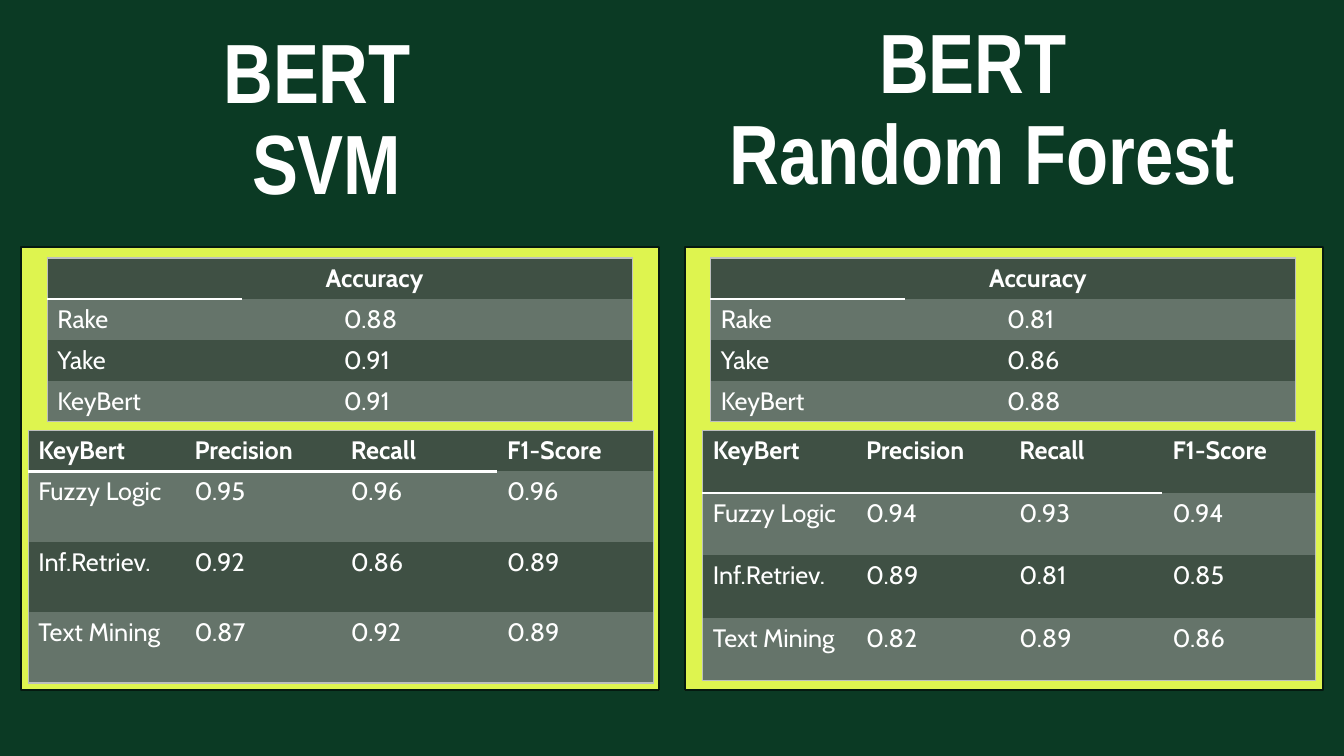
from lxml import etree
from pptx import Presentation
from pptx.dml.color import RGBColor
from pptx.enum.shapes import MSO_SHAPE
from pptx.enum.text import MSO_ANCHOR, MSO_AUTO_SIZE, PP_ALIGN
from pptx.oxml.ns import qn
from pptx.util import Inches, Pt

RECT = MSO_SHAPE.RECTANGLE
TOP, CENTER, FIXED = MSO_ANCHOR.TOP, PP_ALIGN.CENTER, MSO_AUTO_SIZE.NONE

GREEN, LIME, INK, WHITE = "0B3A24", "DEF44F", "051910", "FFFFFF"
DARK, LIGHT, GRAY = "3F5044", "65746A", "BDBFBE"
HEAD = ["KeyBert", "Precision", "Recall", "F1-Score"]

# Boxes are left, top, width, height in inches.
SIDES = [
    {
        "title": "BERT \vSVM", "title_box": (1.44, 0.31, 3.6, 1.37),
        "panel": 0.21,
        "accuracy": [["", "Accuracy"], ["Rake", "0.88"],
                     ["Yake", "0.91"], ["KeyBert", "0.91"]],
        "scores": [HEAD, ["Fuzzy Logic", "0.95", "0.96", "0.96"],
                   ["Inf.Retriev.", "0.92", "0.86", "0.89"],
                   ["Text Mining", "0.87", "0.92", "0.89"]],
        "score_left": 0.28, "score_col": 1.55, "score_rows": [0.4] + [0.7] * 3,
    },
    {
        "title": "BERT \vRandom Forest", "title_box": (6.41, 0.21, 6.67, 2.08),
        "panel": 6.79,
        "accuracy": [["", "Accuracy"], ["Rake", "0.81"],
                     ["Yake", "0.86"], ["KeyBert", "0.88"]],
        "scores": [HEAD, ["Fuzzy Logic", "0.94", "0.93", "0.94"],
                   ["Inf.Retriev.", "0.89", "0.81", "0.85"],
                   ["Text Mining", "0.82", "0.89", "0.86"]],
        "score_left": 6.97, "score_col": 1.52, "score_rows": [0.62] + [0.62] * 3,
    },
]


def color(code):
    return RGBColor.from_string(code)


def place(shape, box):
    shape.left, shape.top, shape.width, shape.height = map(Inches, box)


def style(para, face, size, bold):
    for run in para.runs:
        font = run.font
        font.name, font.size, font.bold = face, Pt(size), bold
        font.color.rgb = color(WHITE)


def add_title(shape, text, box):
    place(shape, box)
    frame = shape.text_frame
    frame.word_wrap, frame.auto_size, frame.vertical_anchor = True, FIXED, TOP
    frame.margin_left = frame.margin_right = 0
    frame.margin_top = frame.margin_bottom = 0
    para = frame.paragraphs[0]
    para.text = text
    para.alignment, para.line_spacing = CENTER, 0.9
    style(para, "Arial Narrow", 60, True)


def add_panel(slide, left):
    panel = slide.shapes.add_shape(RECT, 0, 0, 0, 0)
    place(panel, (left, 2.45, 6.33, 4.4))
    panel.shadow.inherit = False
    panel.fill.solid()
    panel.fill.fore_color.rgb = color(LIME)
    panel.line.color.rgb = color(INK)
    panel.line.width = Pt(1.5)


def set_edges(cell, edges):
    """Draw the edges given as (colour, points) and clear the others."""
    props = cell._tc.get_or_add_tcPr()
    for spot, side in enumerate("LRTB"):
        line = etree.Element(qn(f"a:ln{side}"))
        if side in edges:
            code, width = edges[side]
            line.set("w", str(Pt(width)))
            fill = etree.SubElement(line, qn("a:solidFill"))
            etree.SubElement(fill, qn("a:srgbClr"), val=code)
        else:
            etree.SubElement(line, qn("a:noFill"))
        props.insert(spot, line)


def add_table(slide, data, left, top, cols, rows, indent=None):
    """Indent holds the last column's left margin in the header and below."""
    last_row, last_col = len(rows) - 1, len(cols) - 1
    table = slide.shapes.add_table(
        len(rows), len(cols), Inches(left), Inches(top),
        Inches(sum(cols)), Inches(sum(rows))).table
    for col, width in zip(table.columns, cols):
        col.width = Inches(width)
    for row, height in zip(table.rows, rows):
        row.height = Inches(height)
    for r, line in enumerate(data):
        for c, text in enumerate(line):
            cell = table.cell(r, c)
            cell.text = text
            style(cell.text_frame.paragraphs[0], "Cabin", 18, r == 0)
            if indent and c == last_col:
                cell.margin_left = Inches(indent[min(r, 1)])
            cell.fill.solid()
            cell.fill.fore_color.rgb = color(LIGHT if r % 2 else DARK)
            outer = {"L": c == 0, "R": c == last_col,
                     "T": r == 0, "B": r == last_row}
            edges = {side: (GRAY, 1) for side, on in outer.items() if on}
            if c < last_col and r < 2:
                edges["T" if r else "B"] = (WHITE, 2)
            set_edges(cell, edges)


def main():
    deck = Presentation()
    deck.slide_width, deck.slide_height = Inches(13.33), Inches(7.5)
    slide = deck.slides.add_slide(deck.slide_layouts[5])
    slide.background.fill.solid()
    slide.background.fill.fore_color.rgb = color(GREEN)

    heads = [slide.shapes.title, slide.shapes.add_textbox(0, 0, 0, 0)]
    for head, side in zip(heads, SIDES):
        add_title(head, side["title"], side["title_box"])
        add_panel(slide, side["panel"])
    for side in SIDES:
        add_table(slide, side["accuracy"], side["panel"] + 0.26, 2.56,
                  [1.93, 3.87], [0.405] * 4, (0.83, 1.01))
        add_table(slide, side["scores"], side["score_left"], 4.27,
                  [side["score_col"]] * 4, side["score_rows"])
    deck.save("out.pptx")


if __name__ == "__main__":
    main()
